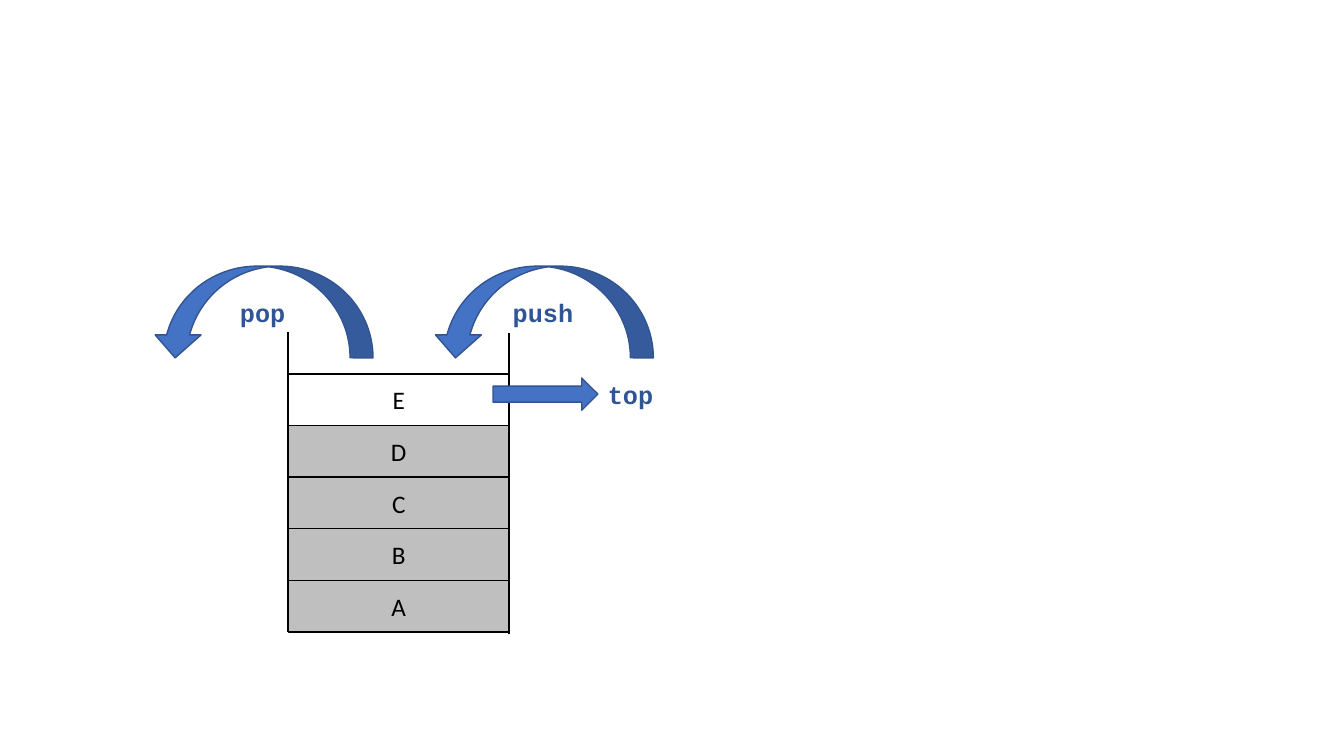
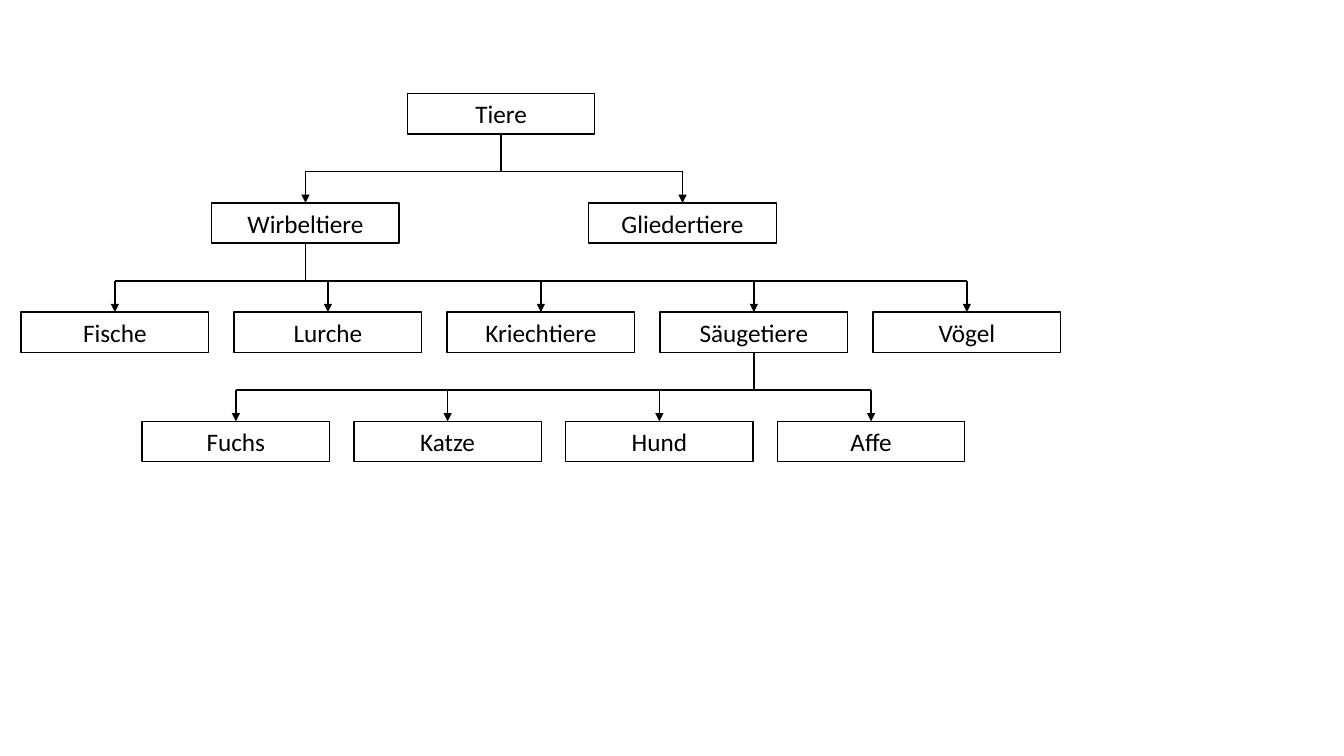
from dataclasses import dataclass

from pptx import Presentation
from pptx.dml.color import RGBColor as Rgb
from pptx.enum.shapes import MSO_CONNECTOR as Connector
from pptx.enum.shapes import MSO_SHAPE as Preset
from pptx.enum.text import MSO_ANCHOR as Anchor
from pptx.enum.text import MSO_AUTO_SIZE as AutoSize
from pptx.enum.text import PP_ALIGN as Align
from pptx.oxml.ns import qn
from pptx.util import Inches, Pt
from lxml.etree import SubElement

TOP_SIDE, BOTTOM_SIDE = 0, 2


@dataclass(frozen=True)
class Theme:
    black: Rgb = Rgb.from_string("000000")
    white: Rgb = Rgb.from_string("FFFFFF")
    grey: Rgb = Rgb.from_string("BFBFBF")
    blue: Rgb = Rgb.from_string("4472C4")
    blue_edge: Rgb = Rgb.from_string("325491")
    blue_text: Rgb = Rgb.from_string("2F5597")
    body_font: str = "Calibri"
    code_font: str = "Courier New"
    text_size: Pt = Pt(18)
    thin: Pt = Pt(1)
    thick: Pt = Pt(1.5)


class Sketch:
    """Holds the style and the current slide."""

    def __init__(self, deck, theme):
        self.deck, self.theme = deck, theme
        self.page = None
        self.body = {"name": theme.body_font, "size": theme.text_size}
        self.code = {"name": theme.code_font, "size": theme.text_size, "bold": True}

    def new_page(self):
        self.page = self.deck.slides.add_slide(self.deck.slide_layouts[6])

    def add_text(self, frame, text, code=False):
        para = frame.paragraphs[0]
        span = para.add_run()
        span.text = text
        for name, value in (self.code if code else self.body).items():
            setattr(span.font, name, value)
        span.font.color.rgb = self.theme.blue_text if code else self.theme.black
        return para

    def shape(self, preset, left, top, width, height, fill, edge, text="", code=False):
        box = self.page.shapes.add_shape(preset, left, top, width, height)
        box.shadow.inherit = False
        if fill is None:
            box.fill.background()
        else:
            box.fill.solid()
            box.fill.fore_color.rgb = fill
        box.line.color.rgb = edge
        box.line.width = self.theme.thin
        if text:
            box.text_frame.vertical_anchor = Anchor.MIDDLE
            self.add_text(box.text_frame, text, code).alignment = Align.CENTER
        return box

    def box(self, left, top, width, height, text, fill=None):
        return self.shape(Preset.RECTANGLE, left, top, width, height,
                          fill, self.theme.black, text)

    def arrow(self, preset, left, top, width, height, text="", flip=False):
        arrow = self.shape(preset, left, top, width, height,
                           self.theme.blue, self.theme.blue_edge, text, code=True)
        if flip:
            arrow._element.spPr.get_or_add_xfrm().set("flipH", "1")

    def label(self, left, top, width, height, text):
        frame = self.page.shapes.add_textbox(left, top, width, height).text_frame
        frame.word_wrap = False
        frame.auto_size = AutoSize.SHAPE_TO_FIT_TEXT
        self.add_text(frame, text, code=True)

    def line(self, start, end, width=None, head=False):
        line = self.page.shapes.add_connector(Connector.STRAIGHT, *start, *end)
        line.line.color.rgb = self.theme.black
        line.line.width = width or self.theme.thin
        if head:
            SubElement(line.line._get_or_add_ln(), qn("a:tailEnd"), type="triangle")
        SubElement(line._element.spPr, qn("a:effectLst"))
        return line


def spread(first, last, count):
    """Equally spaced values from first to last."""
    return [first + (last - first) * i / (count - 1) for i in range(count)]


def middle(box):
    return box.left + box.width // 2


def draw_stack(sketch):
    theme = sketch.theme
    sketch.new_page()

    # Stack cells, top one highlighted
    left, width, top, bottom = 2.86, 2.19, 3.71, 6.27
    cells = "EDCBA"
    height = (bottom - top) / len(cells)
    for i, name in enumerate(cells):
        sketch.box(Inches(left), Inches(top + i * height), Inches(width), Inches(height),
                   name, theme.grey if i else theme.white)

    # Open container walls
    for x, low, high in ((left, bottom, 3.29), (left + width, 6.29, 3.3)):
        sketch.line((Inches(x), Inches(low)), (Inches(x), Inches(high)), theme.thick)

    # Operations
    for x, name in ((1.51, "pop"), (4.29, "push")):
        sketch.arrow(Preset.CURVED_DOWN_ARROW, Inches(x), Inches(2.64),
                     Inches(width), Inches(0.91), name, flip=True)
    sketch.arrow(Preset.RIGHT_ARROW, Inches(4.89), Inches(3.75), Inches(1.04), Inches(0.32))
    sketch.label(Inches(5.93), Inches(top), Inches(0.65), Inches(0.4), "top")


def draw_tree(sketch):
    sketch.new_page()

    # Levels: first and last left edge, then the names
    levels = (
        (4.04, 4.04, ["Tiere"]),
        (2.1, 5.84, ["Wirbeltiere", "Gliedertiere"]),
        (0.21, 8.66, ["Fische", "Lurche", "Kriechtiere", "Säugetiere", "Vögel"]),
        (1.41, 7.71, ["Fuchs", "Katze", "Hund", "Affe"]),
    )
    nodes, rows = {}, []
    for top, (first, last, names) in zip(spread(0.93, 4.18, len(levels)), levels):
        lefts = spread(first, last, len(names)) if len(names) > 1 else [first]
        row = [sketch.box(Inches(x), Inches(top), Inches(1.86), Inches(0.4), name)
               for x, name in zip(lefts, names)]
        nodes.update(zip(names, row))
        rows.append(row)

    # Branches: stem, crossbar and one arrow per child
    for parent, children in zip(("Tiere", "Wirbeltiere", "Säugetiere"), rows[1:]):
        node = nodes[parent]
        bar = children[0].top - Inches(0.31)
        sketch.line((middle(children[0]), bar), (middle(children[-1]), bar))
        stem = sketch.line((middle(node), node.top + node.height), (middle(node), bar))
        stem.begin_connect(node, BOTTOM_SIDE)
        for child in children:
            arrow = sketch.line((middle(child), bar), (middle(child), child.top), head=True)
            arrow.end_connect(child, TOP_SIDE)


def main():
    deck = Presentation()
    deck.slide_width, deck.slide_height = Inches(13.33), Inches(7.5)
    sketch = Sketch(deck, Theme())
    draw_stack(sketch)
    draw_tree(sketch)
    deck.save("out.pptx")


if __name__ == "__main__":
    main()
